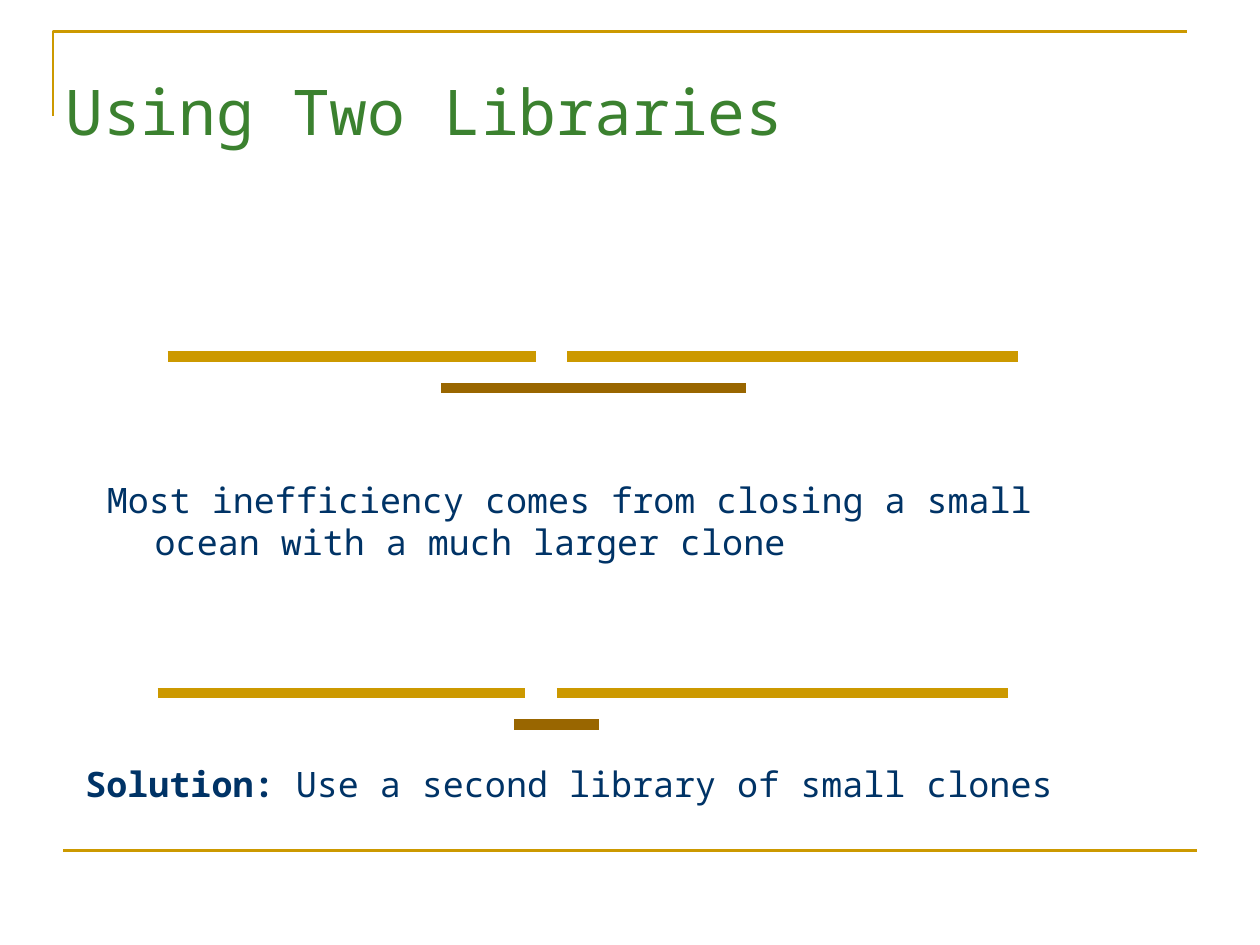
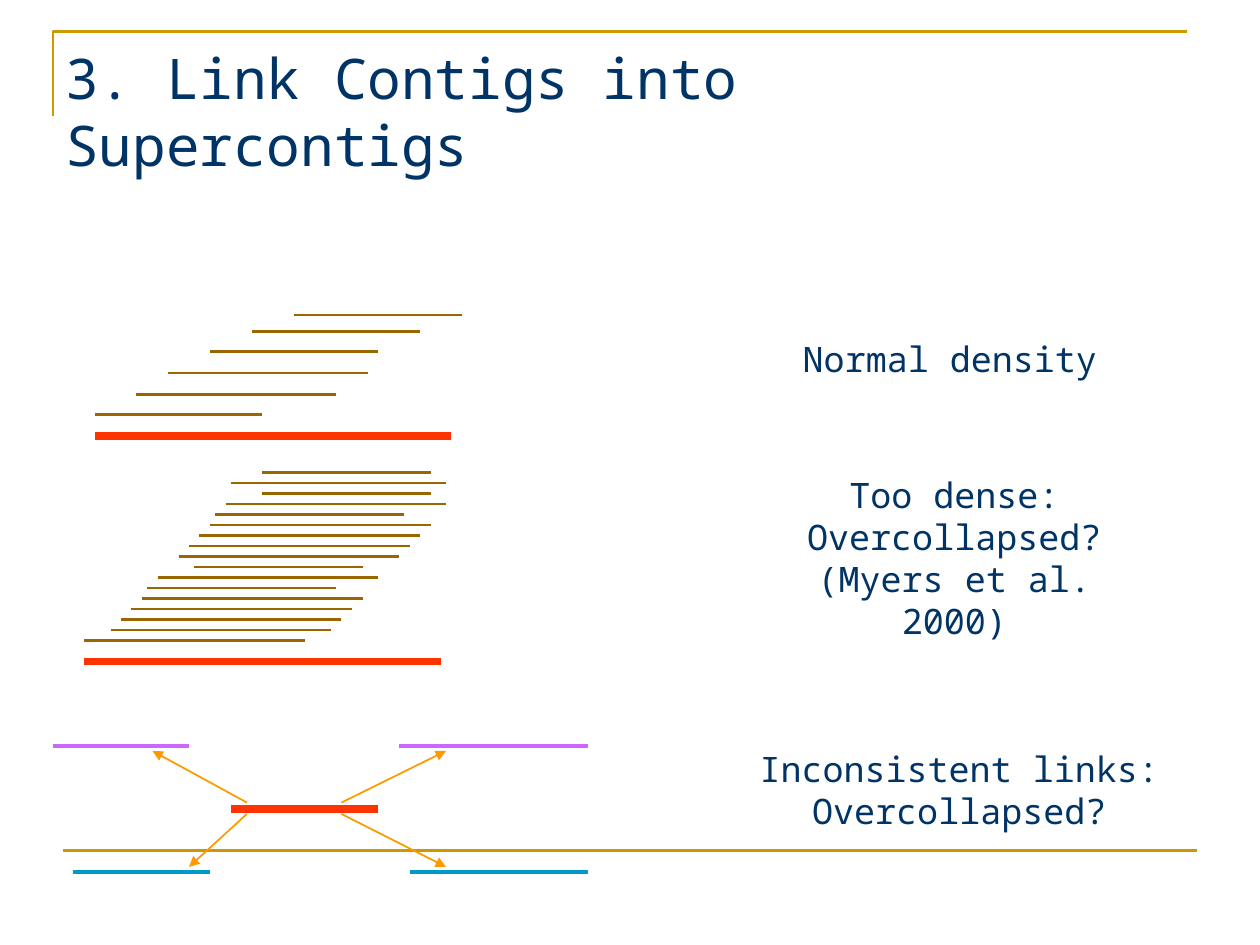
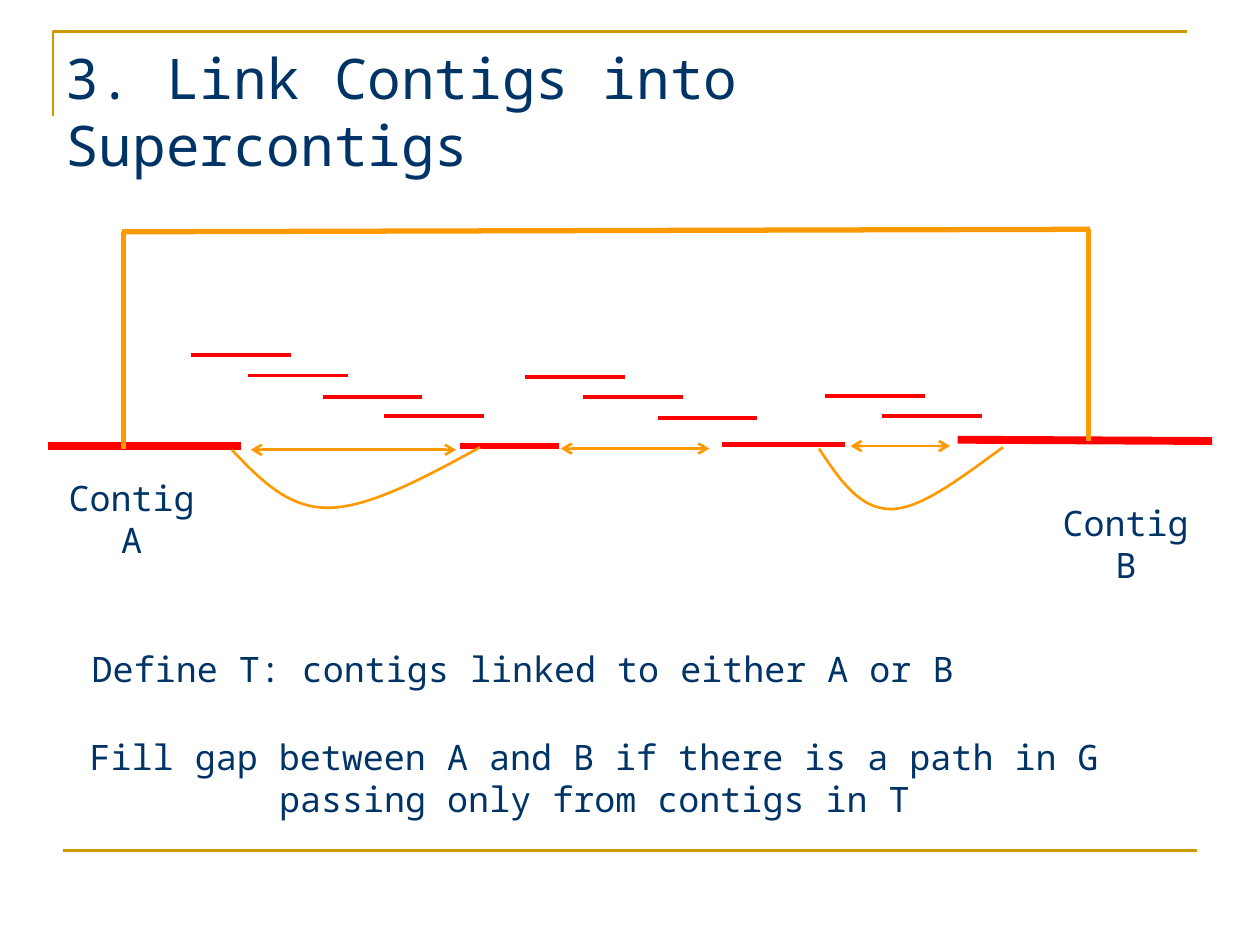
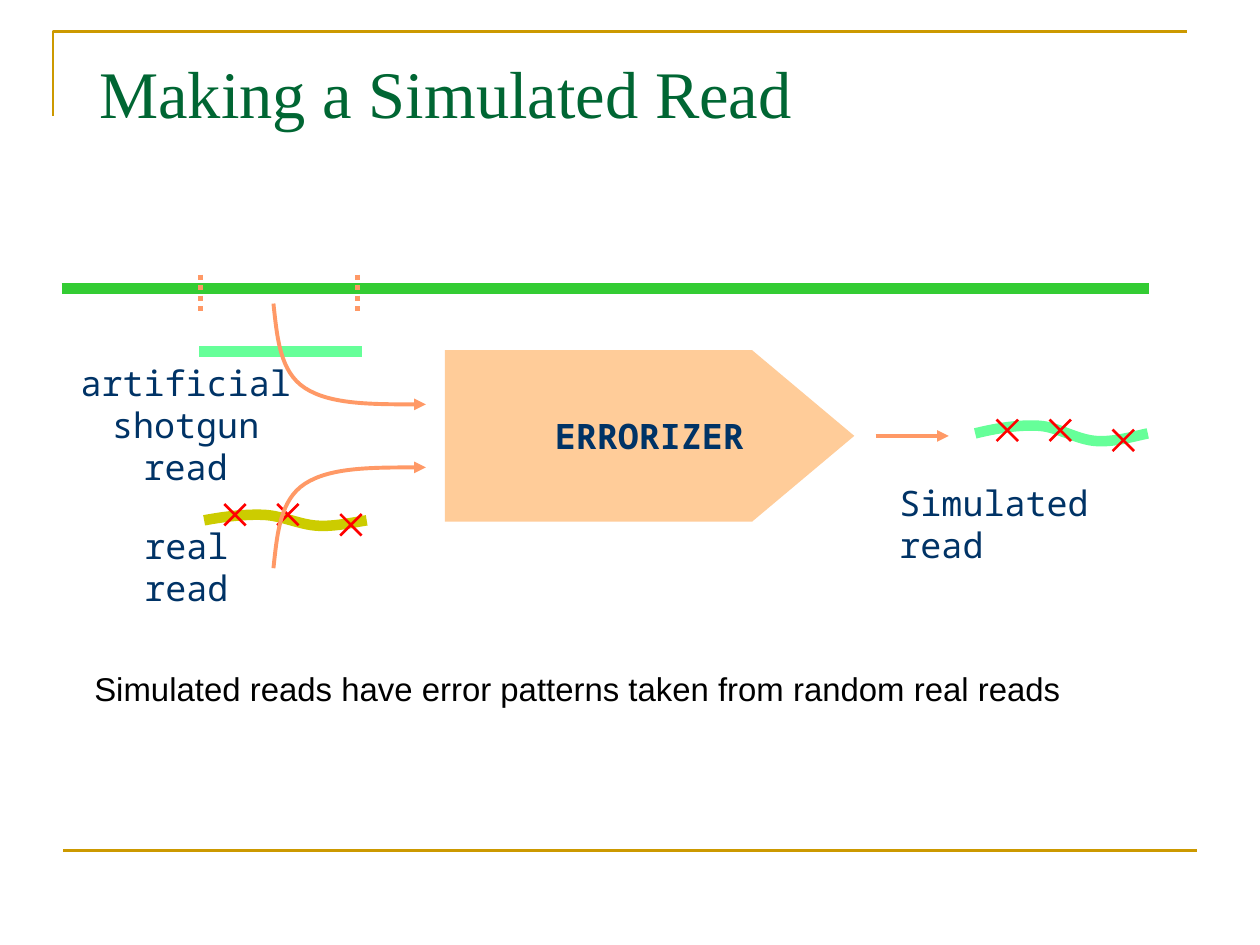
from dataclasses import dataclass
from typing import Optional, Sequence

from lxml import etree
from pptx import Presentation
from pptx.dml.color import RGBColor
from pptx.enum.dml import MSO_LINE
from pptx.enum.shapes import MSO_CONNECTOR
from pptx.enum.text import MSO_ANCHOR, PP_ALIGN
from pptx.oxml.ns import qn
from pptx.util import Inches, Pt

STRAIGHT = MSO_CONNECTOR.STRAIGHT
DOTTED = MSO_LINE.ROUND_DOT
TOP, MIDDLE = MSO_ANCHOR.TOP, MSO_ANCHOR.MIDDLE
LEFT, CENTER = PP_ALIGN.LEFT, PP_ALIGN.CENTER

GOLD = RGBColor(0xCC, 0x99, 0x00)
BROWN = RGBColor(0x99, 0x66, 0x00)
NAVY = RGBColor(0x00, 0x33, 0x66)
LEAF = RGBColor(0x3B, 0x81, 0x2F)
FOREST = RGBColor(0x00, 0x66, 0x33)
GREEN = RGBColor(0x33, 0xCC, 0x33)
MINT = RGBColor(0x66, 0xFF, 0x99)
OLIVE = RGBColor(0xCC, 0xCC, 0x00)
RED = RGBColor(0xFF, 0x00, 0x00)
VERMILION = RGBColor(0xFF, 0x33, 0x00)
ORANGE = RGBColor(0xFF, 0x99, 0x00)
SALMON = RGBColor(0xFF, 0x99, 0x66)
PEACH = RGBColor(0xFF, 0xCC, 0x99)
VIOLET = RGBColor(0xCC, 0x66, 0xFF)
CYAN = RGBColor(0x00, 0x99, 0xCC)
BLACK = RGBColor(0x00, 0x00, 0x00)

MONO, SERIF, SANS = "Noto Sans Mono", "Times New Roman", "Arial"
HANGING = 0.38

Point = tuple[float, float]


@dataclass(frozen=True)
class Stroke:
    color: RGBColor
    width: float
    dash: Optional[MSO_LINE] = None
    head: str = ""
    tail: str = ""


@dataclass(frozen=True)
class Strand:
    """A horizontal line at height y."""
    y: float
    start: float
    end: float


FRAME = Stroke(GOLD, 1.5)
READ = Stroke(BROWN, 1.5)
CONTIG = Stroke(VERMILION, 4.5)


def apply_stroke(shape, stroke: Stroke) -> None:
    line = shape.line
    line.color.rgb = stroke.color
    line.width = Pt(stroke.width)
    if stroke.dash is not None:
        line.dash_style = stroke.dash
    ln = line._get_or_add_ln()
    for tag, kind in (("a:headEnd", stroke.head), ("a:tailEnd", stroke.tail)):
        if kind:
            etree.SubElement(ln, qn(tag), type=kind)


def add_line(s, stroke: Stroke, start: Point, end: Point) -> None:
    x1, y1, x2, y2 = map(Inches, (*start, *end))
    line = s.shapes.add_connector(STRAIGHT, x1, y1, x2, y2)
    apply_stroke(line, stroke)
    etree.SubElement(line._element.spPr, qn("a:effectLst"))


def add_strands(s, stroke: Stroke, strands: Sequence[Strand]) -> None:
    for strand in strands:
        add_line(s, stroke, (strand.start, strand.y), (strand.end, strand.y))


def add_outline(s, points: Sequence[Point], close: bool = False):
    start, *rest = [(Inches(x), Inches(y)) for x, y in points]
    builder = s.shapes.build_freeform(*start)
    builder.add_line_segments(rest, close=close)
    shape = builder.convert_to_shape()
    shape.shadow.inherit = False
    return shape


def add_open_line(s, stroke: Stroke, points: Sequence[Point]):
    shape = add_outline(s, points)
    shape.fill.background()
    apply_stroke(shape, stroke)
    return shape


def add_curve(s, stroke: Stroke, points: Sequence[Point]) -> None:
    """Draw Bezier pieces: a start point, then three points for each piece."""
    shape = add_open_line(s, stroke, points)
    outline = next(shape._element.iter(qn("a:path")))
    segments = outline.findall(qn("a:lnTo"))
    for i in range(0, len(segments), 3):
        bezier = etree.SubElement(outline, qn("a:cubicBezTo"))
        for segment in segments[i:i + 3]:
            bezier.append(segment[0])
            outline.remove(segment)


def write_text(shape, text: str, *, lead: str = "", size: float = 20, font: str = MONO,
               color: RGBColor = NAVY, bold: bool = False, align=LEFT, anchor=TOP,
               hanging: float = 0, wrap: bool = True, top_inset: float = 0.05) -> None:
    """Fill a shape, one paragraph a line; lead is a bold opening."""
    tf = shape.text_frame
    tf.word_wrap = wrap
    tf.vertical_anchor = anchor
    tf.margin_left = tf.margin_right = Inches(0.1)
    tf.margin_top, tf.margin_bottom = Inches(top_inset), Inches(0.05)
    for i, content in enumerate(text.split("\n")):
        p = tf.add_paragraph() if i else tf.paragraphs[0]
        p.alignment = align
        if hanging:
            pPr = p._p.get_or_add_pPr()
            pPr.set("marL", str(Inches(hanging)))
            pPr.set("indent", str(-Inches(hanging)))
        runs = [(lead, True)] if lead and not i else []
        for words, is_bold in [*runs, (content, bold)]:
            r = p.add_run()
            r.text = words
            r.font.name, r.font.size = font, Pt(size)
            r.font.bold, r.font.color.rgb = is_bold, color


def add_text(s, text: str, left: float, top: float, width: float, height: float,
             **style) -> None:
    box = s.shapes.add_textbox(*map(Inches, (left, top, width, height)))
    write_text(box, text, **style)


def add_slide(prs):
    """Add a blank slide with the gold corner and the line at the foot."""
    s = prs.slides.add_slide(prs.slide_layouts[6])
    add_open_line(s, FRAME, [(0.42, 0.92), (0.42, 0.25), (9.42, 0.25)])
    add_line(s, FRAME, (0.5, 6.75), (9.5, 6.75))
    return s


def add_title(s, text: str, width: float = 8.83, size: float = 32,
              color: RGBColor = NAVY) -> None:
    add_text(s, text, 0.42, 0.25, width, 1.25, size=size, color=color, anchor=MIDDLE)


def add_ocean(s, left: float, top: float, clone_left: float, clone_width: float) -> None:
    """Draw two contigs with a gap, and the clone that closes it."""
    second = left + 2.92 + 0.25
    add_strands(s, Stroke(GOLD, 6), [Strand(top, left, left + 2.92),
                                     Strand(top, second, second + 3.58)])
    add_strands(s, Stroke(BROWN, 6),
                [Strand(top + 0.25, clone_left, clone_left + clone_width)])


def build_libraries(prs) -> None:
    s = add_slide(prs)
    add_title(s, "Using Two Libraries", width=8.5, size=36, color=LEAF)
    add_text(s, " Use a second library of small clones", 0.58, 6, 8.5, 0.92,
             lead="Solution:", hanging=HANGING)
    add_text(s, "Most inefficiency comes from closing a small ocean with a much "
             "larger clone", 0.75, 3.75, 8.5, 1.17, hanging=HANGING)
    add_ocean(s, 1.33, 2.83, 3.5, 2.42)
    add_ocean(s, 1.25, 5.5, 4.08, 0.67)


def build_density(prs) -> None:
    s = add_slide(prs)
    add_title(s, "3. Link Contigs into Supercontigs")

    add_strands(s, READ, [
        Strand(2.5, 2.33, 3.67), Strand(2.63, 2, 3.33), Strand(2.79, 1.67, 3),
        Strand(2.96, 1.33, 2.92), Strand(3.13, 1.08, 2.67), Strand(3.29, 0.75, 2.08),
    ])
    dense_reads = [
        (2.08, 3.42), (1.83, 3.54), (2.08, 3.42), (1.79, 3.54), (1.71, 3.21),
        (1.67, 3.42), (1.58, 3.33), (1.5, 3.25), (1.42, 3.17), (1.54, 2.88),
        (1.25, 3), (1.17, 2.67), (1.13, 2.88), (1.04, 2.79), (0.96, 2.71),
        (0.88, 2.63), (0.67, 2.42),
    ]
    add_strands(s, READ, [Strand(3.75 + i / 12, *ends)
                          for i, ends in enumerate(dense_reads)])
    add_strands(s, CONTIG, [Strand(3.46, 0.75, 3.58), Strand(5.25, 0.67, 3.5),
                            Strand(6.42, 1.83, 3)])

    add_strands(s, Stroke(VIOLET, 2.25), [Strand(5.92, 0.42, 1.5),
                                          Strand(5.92, 3.17, 4.67)])
    add_strands(s, Stroke(CYAN, 2.25), [Strand(6.92, 0.58, 1.67),
                                        Strand(6.92, 3.25, 4.67)])
    link = Stroke(ORANGE, 1, tail="triangle")
    for x, upper_x, lower_x in ((1.96, 1.21, 1.5), (2.71, 3.54, 3.54)):
        add_line(s, link, (x, 6.37), (upper_x, 5.96))
        add_line(s, link, (x, 6.46), (lower_x, 6.88))

    add_text(s, "Normal density", 6, 2.63, 3.08, 0.44, align=CENTER)
    add_text(s, "Too dense: Overcollapsed?\n(Myers et al. 2000)",
             5.94, 3.71, 3.27, 1.1, align=CENTER)
    add_text(s, "Inconsistent links: Overcollapsed?", 5.73, 5.88, 3.77, 0.77,
             align=CENTER)


def build_gap_filling(prs) -> None:
    s = add_slide(prs)
    add_title(s, "3. Link Contigs into Supercontigs")

    add_line(s, Stroke(RED, 4.5), (0.38, 3.54), (1.91, 3.54))
    add_line(s, Stroke(RED, 4.5), (7.6, 3.49), (9.62, 3.5))
    bridge = Stroke(ORANGE, 3)
    add_line(s, bridge, (0.98, 1.84), (0.98, 3.56))
    add_line(s, bridge, (8.64, 1.82), (8.64, 3.5))
    add_line(s, bridge, (0.97, 1.84), (8.65, 1.82))

    add_strands(s, Stroke(RED, 3), [Strand(3.54, 3.65, 4.44), Strand(3.53, 5.73, 6.71)])
    short_contigs = [
        (1.52, 2.82), (1.97, 2.98), (2.56, 3.15), (3.05, 3.3), (4.17, 2.99),
        (4.63, 3.15), (5.22, 3.32), (6.55, 3.14), (7, 3.3),
    ]
    add_strands(s, Stroke(RED, 2.25), [Strand(y, x, x + 0.79) for x, y in short_contigs])

    link = Stroke(ORANGE, 1.5)
    add_curve(s, link, [(1.84, 3.57), (2.06, 3.8), (2.28, 4.03), (2.6, 4.03),
                        (2.93, 4.03), (3.37, 3.79), (3.81, 3.55)])
    add_curve(s, link, [(6.5, 3.56), (6.66, 3.8), (6.82, 4.04), (7.07, 4.04),
                        (7.31, 4.04), (7.63, 3.79), (7.96, 3.55)])
    add_strands(s, Stroke(ORANGE, 1.5, head="arrow", tail="arrow"), [
        Strand(3.57, 1.99, 3.62), Strand(3.56, 4.45, 5.63), Strand(3.54, 6.75, 7.54),
    ])

    add_text(s, "Contig A", 0.39, 3.73, 1.31, 0.44, align=CENTER)
    add_text(s, "Contig B", 8.28, 3.93, 1.31, 0.44, align=CENTER)
    add_text(s, "Define T: contigs linked to either A or B", 0.63, 5.09, 8.83, 0.87,
             hanging=HANGING)
    add_text(s, "Fill gap between A and B if there is a path in G passing only from "
             "contigs in T", 0.44, 5.79, 8.56, 1.1, align=CENTER)


def add_noisy_read(s, color: RGBColor, left: float, top: float, width: float,
                   height: float, marks_left: float, marks_top: float) -> None:
    """Draw a wavy read with three crosses for its errors."""
    wave = [(0, 0.5), (0.12, 0.21), (0.25, 0), (0.37, 0.07), (0.48, 0.14),
            (0.59, 0.86), (0.7, 0.93), (0.8, 1), (0.9, 0.71), (1, 0.5)]
    add_curve(s, Stroke(color, 6),
              [(left + x * width, top + y * height) for x, y in wave])
    cross = Stroke(RED, 1.5)
    for dx, dy in ((0, 0), (0.42, 0), (0.92, 0.08)):
        x1, y1 = marks_left + dx, marks_top + dy
        x2, y2 = x1 + 0.17, y1 + 0.17
        add_line(s, cross, (x1, y1), (x2, y2))
        add_line(s, cross, (x2, y1), (x1, y2))


def build_simulated_read(prs) -> None:
    s = add_slide(prs)
    middle = 3.46
    add_text(s, "Making a Simulated Read", 0.69, 0.3, 7.97, 1.19, size=38,
             font=SERIF, color=FOREST, top_inset=0.11)
    add_text(s, "Simulated reads have error patterns taken from random real reads",
             0.65, 5.26, 8.35, 0.69, size=18.8, font=SANS, color=BLACK,
             hanging=HANGING)

    add_line(s, Stroke(GREEN, 6), (0.49, 2.29), (9.12, 2.29))
    add_line(s, Stroke(MINT, 6), (1.58, 2.79), (2.87, 2.79))
    for x in (1.59, 2.84):
        add_line(s, Stroke(SALMON, 3, dash=DOTTED), (x, 2.18), (x, 2.51))

    errorizer = add_outline(s, [(3.53, 2.78), (5.97, 2.78), (6.78, middle),
                                (5.97, 4.14), (3.53, 4.14)], close=True)
    errorizer.fill.solid()
    errorizer.fill.fore_color.rgb = PEACH
    errorizer.line.fill.background()
    write_text(errorizer, "ERRORIZER", bold=True, align=CENTER, anchor=MIDDLE,
               wrap=False)

    add_noisy_read(s, MINT, 7.74, 3.37, 1.37, 0.14, 7.91, 3.33)
    add_noisy_read(s, OLIVE, 1.62, 4.08, 1.29, 0.1, 1.78, 4)
    add_text(s, "Simulated read", 7.04, 3.77, 2.18, 0.44)
    add_text(s, "artificial shotgun read", 0.46, 2.82, 2.03, 0.77, align=CENTER)
    add_text(s, "real read", 0.76, 4.11, 1.44, 0.44, align=CENTER)

    flow = Stroke(SALMON, 2.25, tail="triangle")
    add_line(s, flow, (6.95, middle), (7.53, middle))
    inflow = [(2.17, 1.05), (2.2, 0.78), (2.22, 0.51), (2.42, 0.38),
              (2.62, 0.25), (3, 0.25), (3.38, 0.25)]
    for side in (-1, 1):
        add_curve(s, flow, [(x, middle + side * dy) for x, dy in inflow])


def main() -> None:
    prs = Presentation()
    prs.slide_width, prs.slide_height = Inches(10), Inches(7.5)
    build_libraries(prs)
    build_density(prs)
    build_gap_filling(prs)
    build_simulated_read(prs)
    prs.save("out.pptx")


if __name__ == "__main__":
    main()
